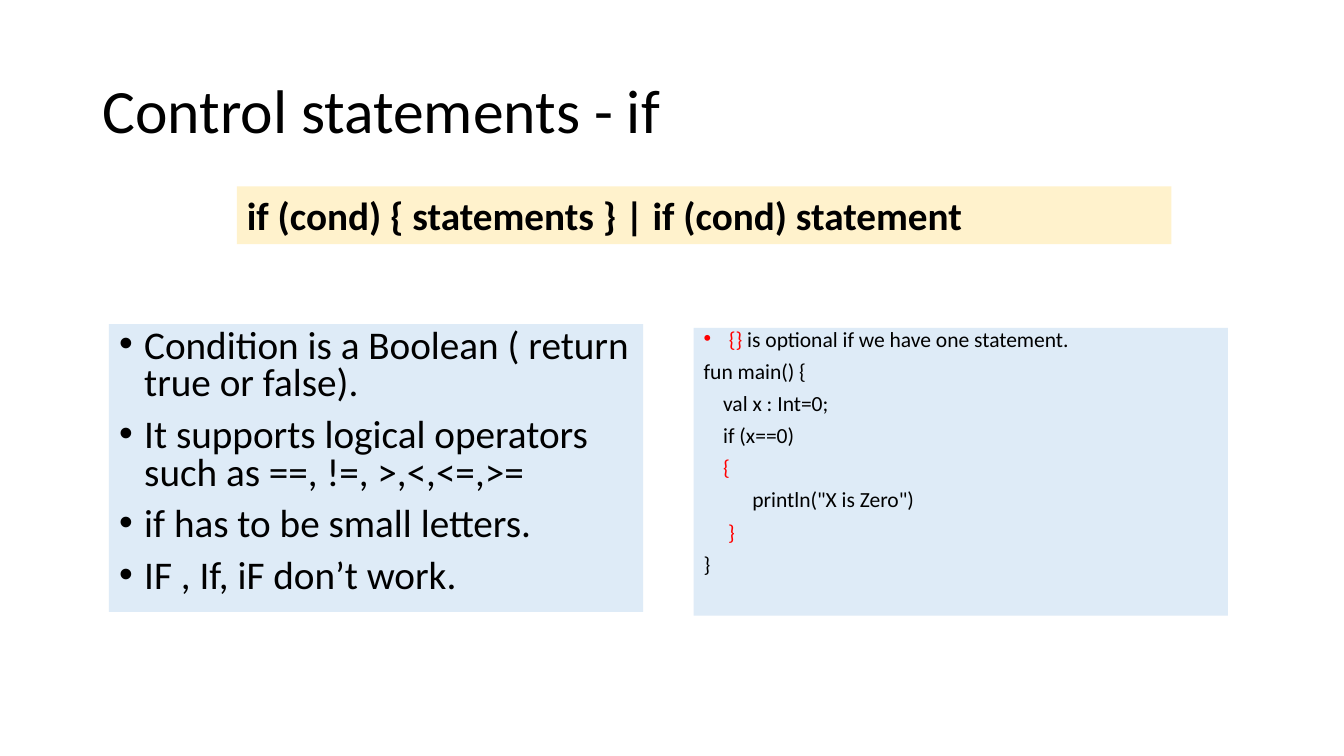
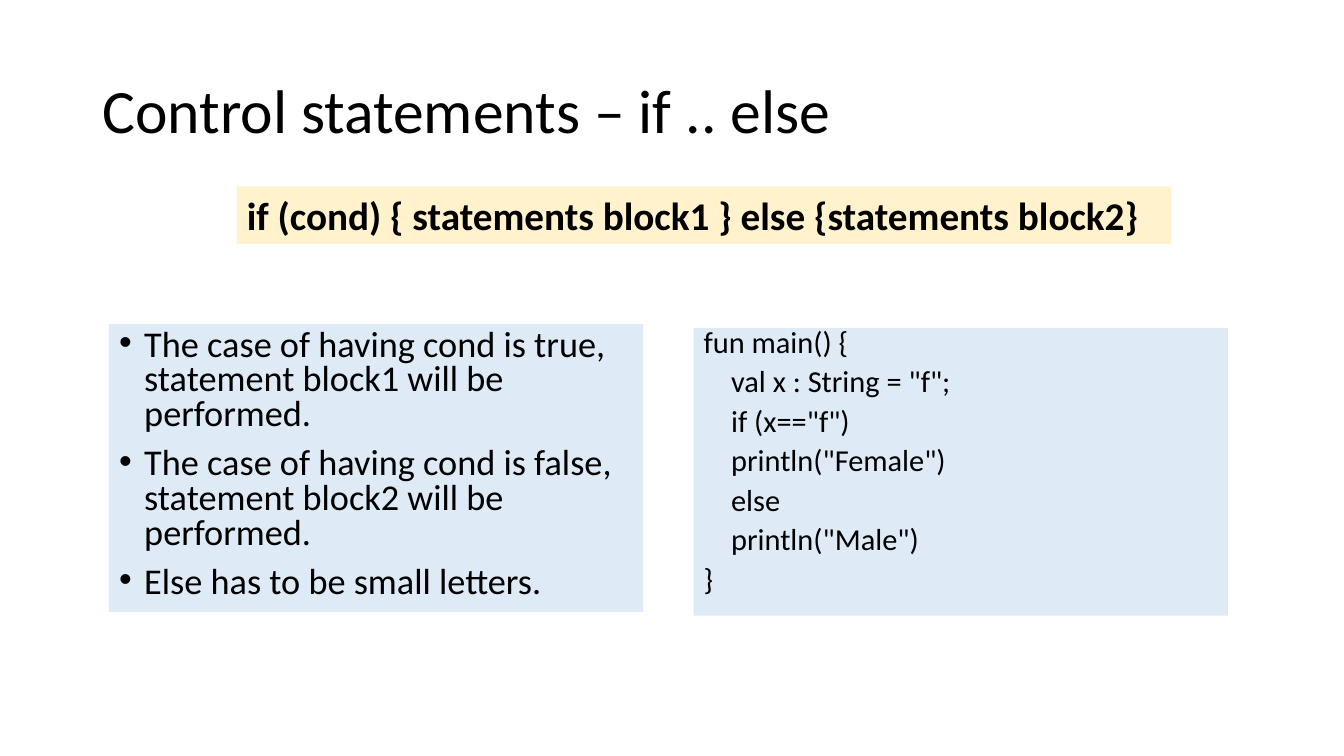
"""Build two slides on the if and if-else control statements."""
import pptx
import pptx.dml.color
import pptx.enum.text
import pptx.oxml.ns
import pptx.util
from lxml import etree

Pt = pptx.util.Pt
RGBColor = pptx.dml.color.RGBColor

BLACK = RGBColor(0x00, 0x00, 0x00)
RED = RGBColor(0xFF, 0x00, 0x00)
PALE_BLUE = RGBColor(0xDE, 0xEB, 0xF7)
PALE_YELLOW = RGBColor(0xFF, 0xF2, 0xCC)
FONT = "Calibri"
HANGING = 18
SPACE_WIDTH = 0.226


def add_line(frame, text, *, size, bold=False, red="", bullet=False,
             indent=0, spacing=1.0, before=0):
    """Add one paragraph, with an optional red opening and bullet."""
    line = frame.paragraphs[0]
    if line.runs:
        line = frame.add_paragraph()
    line.alignment = pptx.enum.text.PP_ALIGN.LEFT
    line.line_spacing = spacing
    line.space_before = Pt(before)
    properties = line._p.get_or_add_pPr()
    properties.set("marL", str(Pt(HANGING if bullet else indent)))
    properties.set("indent", str(Pt(-HANGING if bullet else 0)))
    mark = "a:buChar" if bullet else "a:buNone"
    marker = etree.SubElement(properties, pptx.oxml.ns.qn(mark))
    if bullet:
        marker.set("char", "•")
    for part, color in ((red, RED), (text, BLACK)):
        if part:
            run = line.add_run()
            run.text = part
            run.font.name = FONT
            run.font.size = Pt(size)
            run.font.bold = bold
            run.font.color.rgb = color


def place(part, left, top, width, height, fill=None):
    """Position a part of the slide and prepare its frame for text."""
    part.left, part.top = Pt(left), Pt(top)
    part.width, part.height = Pt(width), Pt(height)
    if fill is not None:
        part.fill.solid()
        part.fill.fore_color.rgb = fill
    frame = part.text_frame
    frame.word_wrap = True
    frame.auto_size = pptx.enum.text.MSO_AUTO_SIZE.NONE
    return frame


LESSONS = [
    {
        "title": "Control statements - if",
        "syntax": "if (cond) { statements } | if (cond) statement",
        "rules_size": 28,
        "rules": [
            "Condition is a Boolean ( return true or false).",
            "It supports logical operators such as ==, !=, >,<,<=,>=",
            "if has to be small letters.",
            "IF , If, iF don’t work.",
        ],
        "code_size": 15.4,
        "remark": ("{}", " is optional if we have one statement."),
        "code": [
            (0, "", "fun main() {"),
            (4, "", "val x : Int=0;"),
            (4, "", "if (x==0)"),
            (4, "{", ""),
            (10, "", 'println("X is Zero")'),
            (5, "}", ""),
            (0, "", "}"),
        ],
    },
    {
        "title": "Control statements – if .. else",
        "syntax": "if (cond) { statements block1 } else {statements block2}",
        "rules_size": 25.9,
        "rules": [
            "The case of having cond is true, statement block1 will be performed.",
            "The case of having cond is false, statement block2 will be performed.",
            "Else has to be small letters.",
        ],
        "code_size": 21.7,
        "remark": None,
        "code": [
            (0, "", "fun main() {"),
            (4, "", 'val x : String = "f";'),
            (4, "", 'if (x=="f")'),
            (4, "", 'println("Female")'),
            (4, "", "else"),
            (4, "", 'println("Male")'),
            (0, "", "}"),
        ],
    },
]

deck = pptx.Presentation()
deck.slide_width, deck.slide_height = Pt(960), Pt(540)
two_content = deck.slide_layouts[3]

for lesson in LESSONS:
    slide = deck.slides.add_slide(two_content)
    title, rules_panel, code_panel = list(slide.placeholders)[:3]
    for unused in list(slide.placeholders)[3:]:
        unused.element.getparent().remove(unused.element)

    heading = place(title, 66, 28.8, 828, 104.4)
    heading.vertical_anchor = pptx.enum.text.MSO_ANCHOR.MIDDLE
    add_line(heading, lesson["title"], size=44, spacing=0.9)

    banner = slide.shapes.add_textbox(0, 0, 0, 0)
    syntax = place(banner, 169.2, 133.2, 667.5, 41.2, PALE_YELLOW)
    add_line(syntax, lesson["syntax"], size=28, bold=True)

    rules = place(rules_panel, 77.8, 231.5, 381.6, 205.5, PALE_BLUE)
    for rule in lesson["rules"]:
        add_line(rules, rule, size=lesson["rules_size"], bullet=True,
                 spacing=0.8, before=10)

    code = place(code_panel, 495.4, 234.2, 381.6, 205.5, PALE_BLUE)
    size = lesson["code_size"]
    if lesson["remark"]:
        opening, remark = lesson["remark"]
        add_line(code, remark, red=opening, size=size, bullet=True,
                 spacing=0.7, before=10)
    for depth, brace, statement in lesson["code"]:
        add_line(code, statement, red=brace, size=size,
                 indent=depth * size * SPACE_WIDTH, spacing=0.7, before=10)

deck.save("out.pptx")
